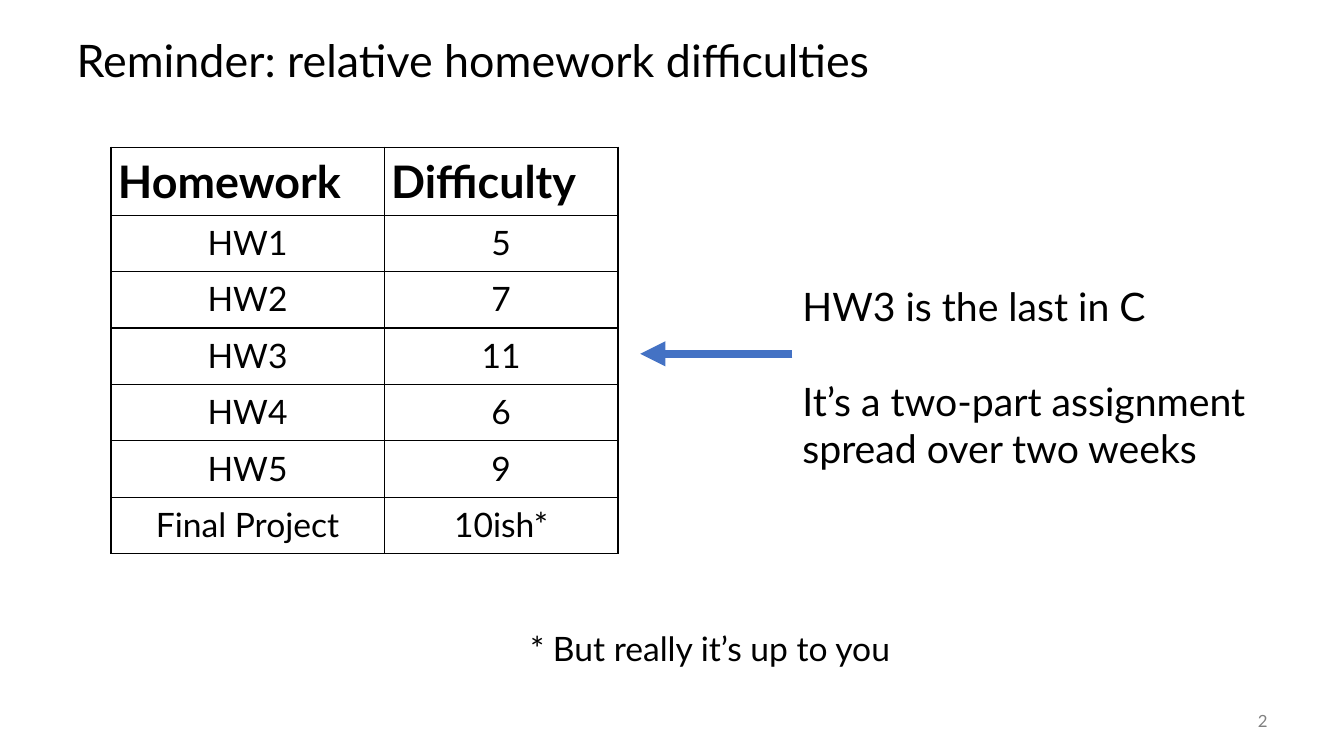
import pptx
import pptx.util
import pptx.dml.color
import pptx.enum.shapes
import pptx.enum.text
import pptx.oxml.ns
import lxml.etree

Inches = pptx.util.Inches
Pt = pptx.util.Pt
RGBColor = pptx.dml.color.RGBColor
Align = pptx.enum.text.PP_ALIGN
Anchor = pptx.enum.text.MSO_ANCHOR
qn = pptx.oxml.ns.qn

BLACK = RGBColor(0x00, 0x00, 0x00)
GRAY = RGBColor(0x80, 0x80, 0x80)
BLUE = RGBColor(0x44, 0x72, 0xC4)


def write(para, text, size, color=BLACK, bold=False, align=Align.LEFT):
    para.alignment = align
    run = para.add_run()
    run.text = text
    run.font.name = "Lato"
    run.font.size = Pt(size)
    run.font.bold = bold
    run.font.color.rgb = color


def add_box(left, top, width, height):
    """Add a wrapping text box and return its text frame."""
    box = slide.shapes.add_textbox(
        Inches(left), Inches(top), Inches(width), Inches(height))
    box.text_frame.word_wrap = True
    return box.text_frame


deck = pptx.Presentation()
deck.slide_width = Inches(13.33)
deck.slide_height = Inches(7.5)
slide = deck.slides.add_slide(deck.slide_layouts[5])

# Title
title = slide.shapes.title
title.left, title.top = Inches(0.66), Inches(0.25)
title.width, title.height = Inches(12), Inches(0.75)
frame = title.text_frame
frame.auto_size = pptx.enum.text.MSO_AUTO_SIZE.NONE
frame.vertical_anchor = Anchor.MIDDLE
frame.paragraphs[0].line_spacing = 0.9
write(frame.paragraphs[0], "Reminder: relative homework difficulties", 32)

# Difficulty table
rows = [
    ("Homework", "Difficulty"),
    ("HW1", "5"),
    ("HW2", "7"),
    ("HW3", "11"),
    ("HW4", "6"),
    ("HW5", "9"),
    ("Final Project", "10ish*"),
]
table = slide.shapes.add_table(
    len(rows), 2, Inches(1.1), Inches(1.46), Inches(5.03), Inches(4.03)).table
table.first_row = False
table.horz_banding = False
for col, width in zip(table.columns, (2.71, 2.32)):
    col.width = Inches(width)

for r, row in enumerate(rows):
    head = r == 0
    table.rows[r].height = Inches(0.67 if head else 0.56)
    for c, text in enumerate(row):
        cell = table.cell(r, c)
        cell.margin_left = cell.margin_right = Inches(0.07)
        cell.margin_top = cell.margin_bottom = Inches(0.07)
        write(cell.text_frame.paragraphs[0], text, 32 if head else 24,
              bold=head, align=Align.LEFT if head else Align.CENTER)
        props = cell._tc.get_or_add_tcPr()
        for side in ("a:lnL", "a:lnR", "a:lnT", "a:lnB"):
            edge = lxml.etree.SubElement(props, qn(side), w=str(Pt(1)))
            fill = lxml.etree.SubElement(edge, qn("a:solidFill"))
            lxml.etree.SubElement(fill, qn("a:srgbClr"), val=str(BLACK))
        cell.fill.background()

# Arrow to the HW3 row
arrow = slide.shapes.add_connector(
    pptx.enum.shapes.MSO_CONNECTOR.STRAIGHT,
    Inches(7.86), Inches(3.51), Inches(6.35), Inches(3.51))
arrow.line.color.rgb = BLUE
arrow.line.width = Pt(6)
lxml.etree.SubElement(arrow.line._get_or_add_ln(), qn("a:tailEnd"),
                      type="triangle")
lxml.etree.SubElement(arrow._element.spPr, qn("a:effectLst"))

# Remarks on HW3
frame = add_box(7.86, 2.75, 4.81, 1.99)
write(frame.paragraphs[0], "HW3 is the last in C", 28)
para = frame.add_paragraph()
para.space_before = Pt(34)
write(para, "It’s a two-part assignment spread over two weeks", 28)

# Footnote
para = add_box(5.16, 6.23, 4.96, 0.54).paragraphs[0]
para.line_spacing = 0.9
write(para, "* But really it’s up to you", 24)

# Page number
frame = add_box(11.67, 6.95, 1, 0.4)
frame.vertical_anchor = Anchor.MIDDLE
write(frame.paragraphs[0], "2", 12, GRAY, align=Align.RIGHT)

deck.save("out.pptx")
